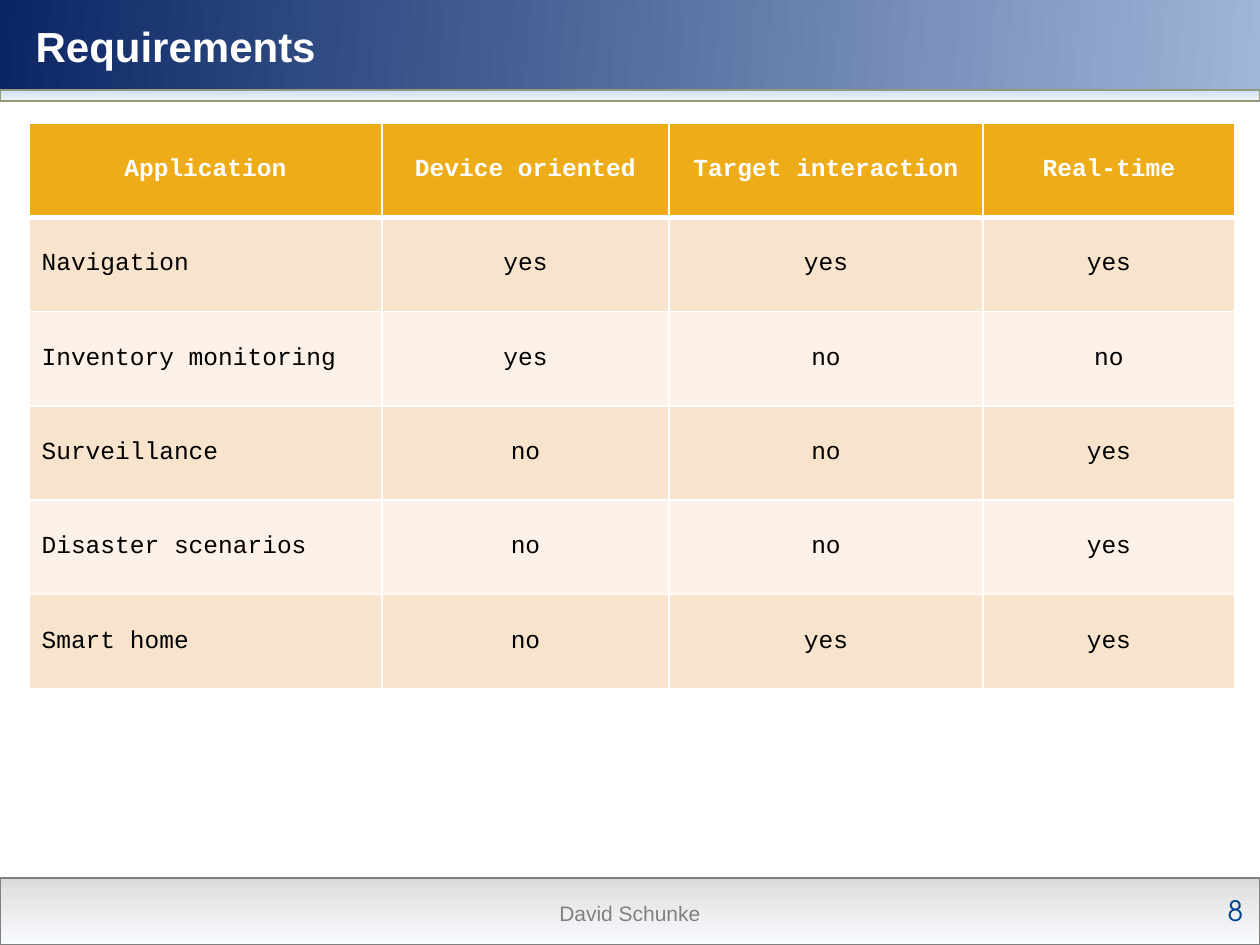
from lxml.etree import SubElement
from pptx import Presentation
from pptx.dml.color import RGBColor
from pptx.enum.shapes import MSO_SHAPE as Shape
from pptx.enum.text import MSO_ANCHOR as Anchor, PP_ALIGN as Align
from pptx.oxml.ns import qn
from pptx.util import Emu, Pt

EMU_PER_PX = 914400 / 126
WIDTH, HEIGHT = 1260, 945
WHITE, GRAY, NAVY = "FFFFFF", "808080", "004290"
HEADER_FILL, BAND_FILLS = "EEAC19", ("F8E3CC", "FCF1E8")

COLUMN_WIDTHS = (353, 287, 314, 252)
REQUIREMENTS = (
    ("Application", "Device oriented", "Target interaction", "Real-time"),
    ("Navigation", "yes", "yes", "yes"),
    ("Inventory monitoring", "yes", "no", "no"),
    ("Surveillance", "no", "no", "yes"),
    ("Disaster scenarios", "no", "no", "yes"),
    ("Smart home", "no", "yes", "yes"),
)


def px(length):
    return Emu(round(length * EMU_PER_PX))


def color(hex_value):
    return RGBColor.from_string(hex_value)


def write(frame, text, size=14, font="Arial", fill="000000", bold=False,
          align=Align.LEFT, anchor=Anchor.MIDDLE):
    frame.vertical_anchor = anchor
    paragraph = frame.paragraphs[0]
    paragraph.alignment = align
    run = paragraph.add_run()
    run.text = text
    run.font.size, run.font.name, run.font.bold = Pt(size), font, bold
    run.font.color.rgb = color(fill)
    return paragraph


def set_gradient(shape, stops, angle):
    """Fill with (percent, colour) stops; the angle runs clockwise."""
    shape.fill.gradient()
    shape.fill.gradient_angle = -angle % 360
    stop_list = shape.element.spPr.find(qn("a:gradFill")).find(qn("a:gsLst"))
    for old_stop in list(stop_list):
        stop_list.remove(old_stop)
    for percent, hex_value in stops:
        stop = SubElement(stop_list, qn("a:gs"), pos=str(percent * 1000))
        SubElement(stop, qn("a:srgbClr"), val=hex_value)


def add_bar(slide, left, top, width, height, stops, angle=0, line=None):
    bar = slide.shapes.add_shape(Shape.RECTANGLE, px(left), px(top), px(width), px(height))
    bar.shadow.inherit = False
    if len(stops) == 1:
        bar.fill.solid()
        bar.fill.fore_color.rgb = color(stops[0][1])
    else:
        set_gradient(bar, stops, angle)
    if line:
        bar.line.color.rgb = color(line)
        bar.line.width = Pt(0.75)
    else:
        bar.line.fill.background()


def add_header(slide, left, top, width, height):
    add_bar(slide, left, top, width, height, [(0, "0C2665"), (100, "9FB6D9")], 5)
    add_bar(slide, left, top + 92, width, 786, [(0, WHITE)])
    add_bar(slide, left, top + 90, width, 11, [(0, "CEDFFF"), (100, "F2F2F2")], 90, "919978")
    title = slide.shapes.title
    title.left, title.top = px(left + 23), px(top + 14)
    title.width, title.height = px(width - 53), px(63)
    write(title.text_frame, "Requirements", size=24, fill=WHITE, bold=True)
    slide.shapes._spTree.append(title.element)  # bring in front of the bars


def add_footer(slide, left, top, width, height):
    add_bar(slide, left, top, width, height,
            [(0, "D9D9D9"), (23, "E4E4E4"), (100, "F8FBFF")], 90, GRAY)
    number = slide.shapes.add_textbox(px(left + width - 66), px(top + 9), px(49), px(47))
    number.text_frame.margin_right = 0
    number.text_frame.word_wrap = False
    write(number.text_frame, "8", size=16, font="TeX Gyre Adventor", fill=NAVY,
          align=Align.RIGHT, anchor=Anchor.TOP)
    author = slide.shapes.add_textbox(px(left + 285), px(top), px(width - 570), px(height))
    author.text_frame.word_wrap = True
    paragraph = write(author.text_frame, "David Schunke", size=12, fill=GRAY, align=Align.CENTER)
    paragraph.line_spacing = 1.1
    paragraph.space_before = Pt(2.4)


def set_borders(cell, **widths):
    """Draw white borders; widths in points are keyed by side L, R, T, B."""
    properties = cell._tc.get_or_add_tcPr()
    for side, width in widths.items():
        line = SubElement(properties, qn(f"a:ln{side}"), w=str(Pt(width)))
        SubElement(SubElement(line, qn("a:solidFill")), qn("a:srgbClr"), val=WHITE)


def add_requirements(slide, left, top, width, height):
    rows = len(REQUIREMENTS)
    table = slide.shapes.add_table(rows, len(COLUMN_WIDTHS), px(left), px(top),
                                   px(width), px(height)).table
    for column, column_width in zip(table.columns, COLUMN_WIDTHS):
        column.width = px(column_width)
    for r, values in enumerate(REQUIREMENTS):
        table.rows[r].height = px(height / rows)
        header = r == 0
        for c, value in enumerate(values):
            cell = table.cell(r, c)
            set_borders(cell, L=1, R=1, T=3 if r == 1 else 1, B=3 if header else 1)
            cell.fill.solid()
            cell.fill.fore_color.rgb = color(HEADER_FILL if header else BAND_FILLS[(r - 1) % 2])
            cell.vertical_anchor = Anchor.MIDDLE
            write(cell.text_frame, value, font="Courier New", bold=header,
                  fill=WHITE if header else "000000", anchor=None,
                  align=Align.CENTER if header or c else Align.LEFT)


def main():
    deck = Presentation()
    deck.slide_width, deck.slide_height = px(WIDTH), px(HEIGHT)
    slide = deck.slides.add_slide(deck.slide_layouts[5])
    add_header(slide, 0, 0, WIDTH, 116)
    add_footer(slide, 0, 878, WIDTH, 67)
    add_requirements(slide, 29, 123, sum(COLUMN_WIDTHS), 566)
    deck.save("out.pptx")


if __name__ == "__main__":
    main()
